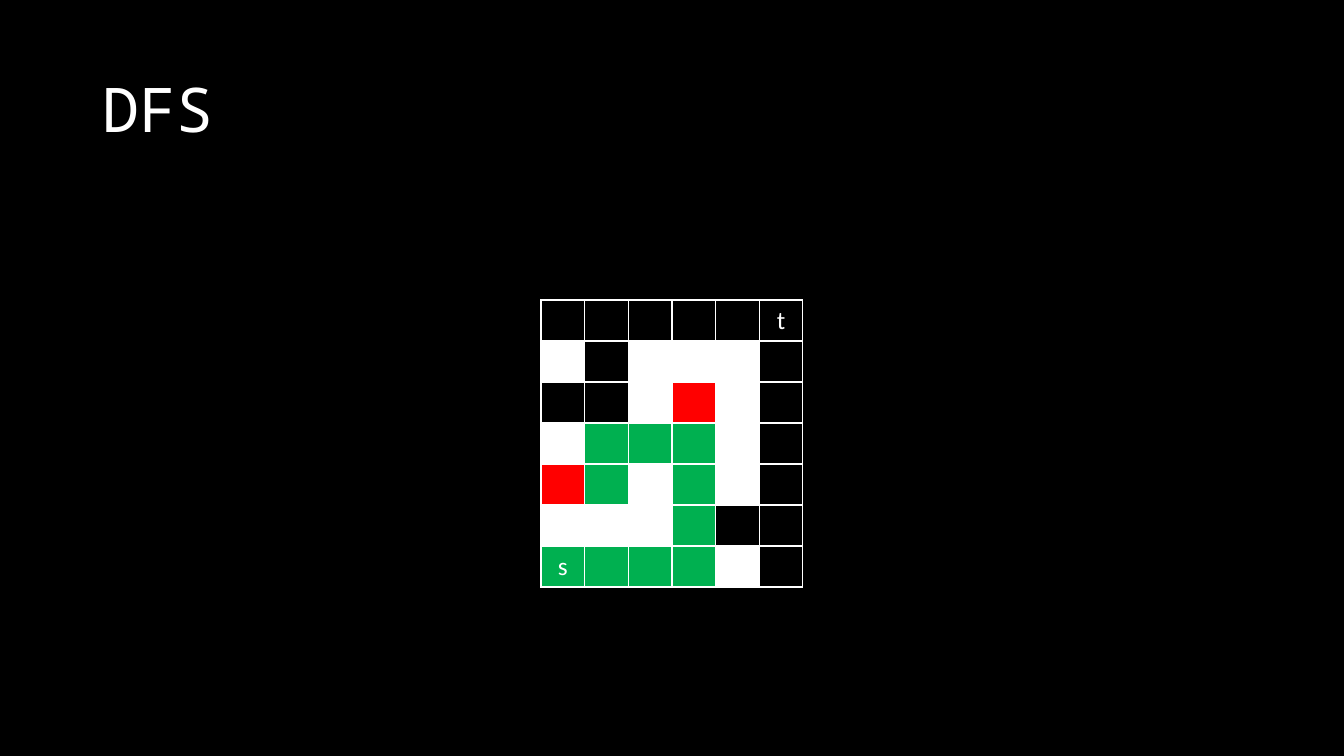
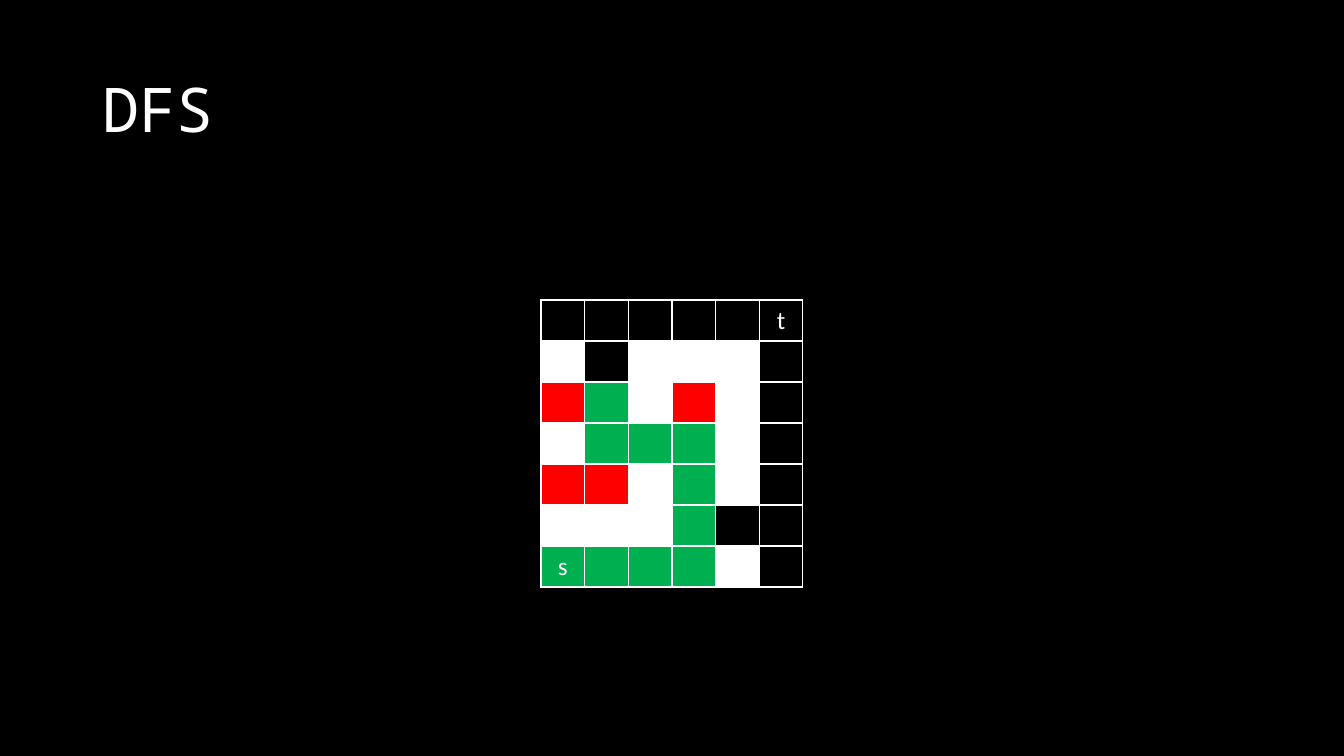
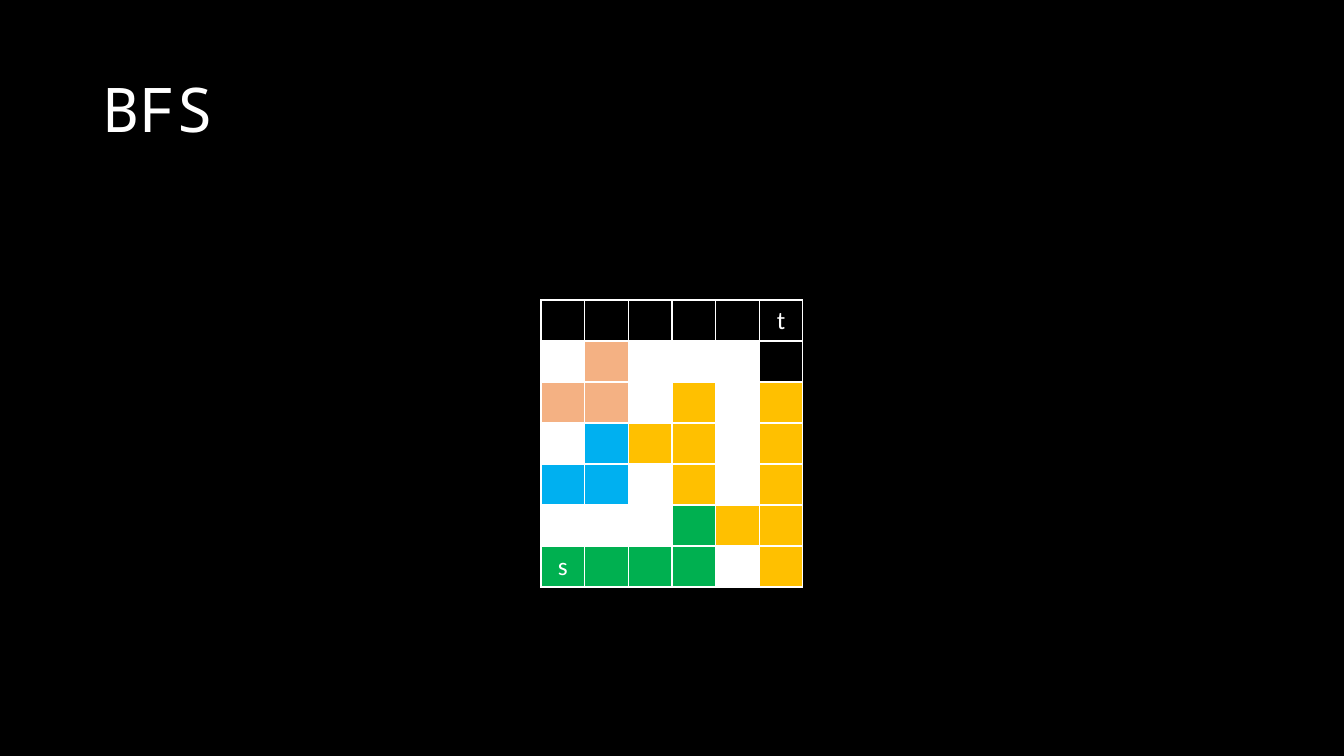
"""Build three slides that show steps of depth-first and breadth-first maze search."""
from lxml import etree
from pptx import Presentation
from pptx.dml.color import RGBColor
from pptx.enum.text import MSO_ANCHOR, MSO_AUTO_SIZE, PP_ALIGN
from pptx.oxml.ns import qn
from pptx.util import Emu, Pt

LEFT, CENTER = PP_ALIGN.LEFT, PP_ALIGN.CENTER
MIDDLE = MSO_ANCHOR.MIDDLE
NO_AUTOFIT = MSO_AUTO_SIZE.NONE

COLORS = {
    "open": "000000",
    "wall": "FFFFFF",
    "path": "00B050",
    "dead end": "FF0000",
    "second wave": "FFC000",
    "third wave": "00B0F0",
    "fourth wave": "F4B183",
}
BACKGROUND, FOREGROUND = COLORS["open"], COLORS["wall"]
CELL_KINDS = {
    ".": "open",
    "#": "wall",
    "P": "path",
    "X": "dead end",
    "2": "second wave",
    "3": "third wave",
    "4": "fourth wave",
}
MAZES = [
    ("DFS", ["......", "#.###.", "..#X#.", "#PPP#.", "XP#P#.", "###P..", "PPPP#."]),
    ("DFS", ["......", "#.###.", "XP#X#.", "#PPP#.", "XX#P#.", "###P..", "PPPP#."]),
    ("BFS", ["......", "#4###.", "44#2#2", "#322#2", "33#2#2", "###P22", "PPPP#2"]),
]
CELL_LABELS = {(0, 5): "t", (6, 0): "s"}

TITLE_FONT, TITLE_SIZE = "Noto Sans Mono", 44
CELL_FONT, CELL_SIZE = "Calibri", 18
SLIDE_SIZE = (1344, 756)
TITLE_BOX = (92, 40, 1159, 146)
TABLE_BOX = (541, 300, 262, 287)
EMU_PER_PX = 914400 / 100.8


def px(length):
    return Emu(round(length * EMU_PER_PX))


def format_paragraph(paragraph, font_name, size, alignment):
    paragraph.alignment = alignment
    font = paragraph.font
    font.name, font.size = font_name, Pt(size)
    font.color.rgb = RGBColor.from_string(FOREGROUND)


def add_title(slide, text):
    title = slide.shapes.title
    title.left, title.top, title.width, title.height = map(px, TITLE_BOX)
    frame = title.text_frame
    frame.text = text
    frame.vertical_anchor = MIDDLE
    frame.auto_size = NO_AUTOFIT
    paragraph = frame.paragraphs[0]
    paragraph.line_spacing = 0.9
    format_paragraph(paragraph, TITLE_FONT, TITLE_SIZE, LEFT)


def add_borders(cell):
    properties = cell._tc.get_or_add_tcPr()
    for side in ("lnL", "lnR", "lnT", "lnB"):
        line = etree.SubElement(properties, qn(f"a:{side}"), w=str(Pt(1)))
        fill = etree.SubElement(line, qn("a:solidFill"))
        etree.SubElement(fill, qn("a:srgbClr"), val=FOREGROUND)


def add_maze(slide, maze):
    row_count, column_count = len(maze), len(maze[0])
    left, top, width, height = TABLE_BOX
    table = slide.shapes.add_table(row_count, column_count, *map(px, TABLE_BOX)).table
    table.first_row = table.horz_banding = False
    for column in table.columns:
        column.width = px(width / column_count)
    for row in table.rows:
        row.height = px(height / row_count)
    for row_index, kinds in enumerate(maze):
        for column_index, kind in enumerate(kinds):
            cell = table.cell(row_index, column_index)
            add_borders(cell)
            cell.fill.solid()
            cell.fill.fore_color.rgb = RGBColor.from_string(COLORS[CELL_KINDS[kind]])
            label = CELL_LABELS.get((row_index, column_index))
            if label:
                cell.text = label
            format_paragraph(cell.text_frame.paragraphs[0], CELL_FONT, CELL_SIZE, CENTER)


def main():
    presentation = Presentation()
    presentation.slide_width, presentation.slide_height = map(px, SLIDE_SIZE)
    background = presentation.slide_master.background.fill
    background.solid()
    background.fore_color.rgb = RGBColor.from_string(BACKGROUND)
    title_only = presentation.slide_layouts.get_by_name("Title Only")
    for title, maze in MAZES:
        slide = presentation.slides.add_slide(title_only)
        add_title(slide, title)
        add_maze(slide, maze)
    presentation.save("out.pptx")


if __name__ == "__main__":
    main()
